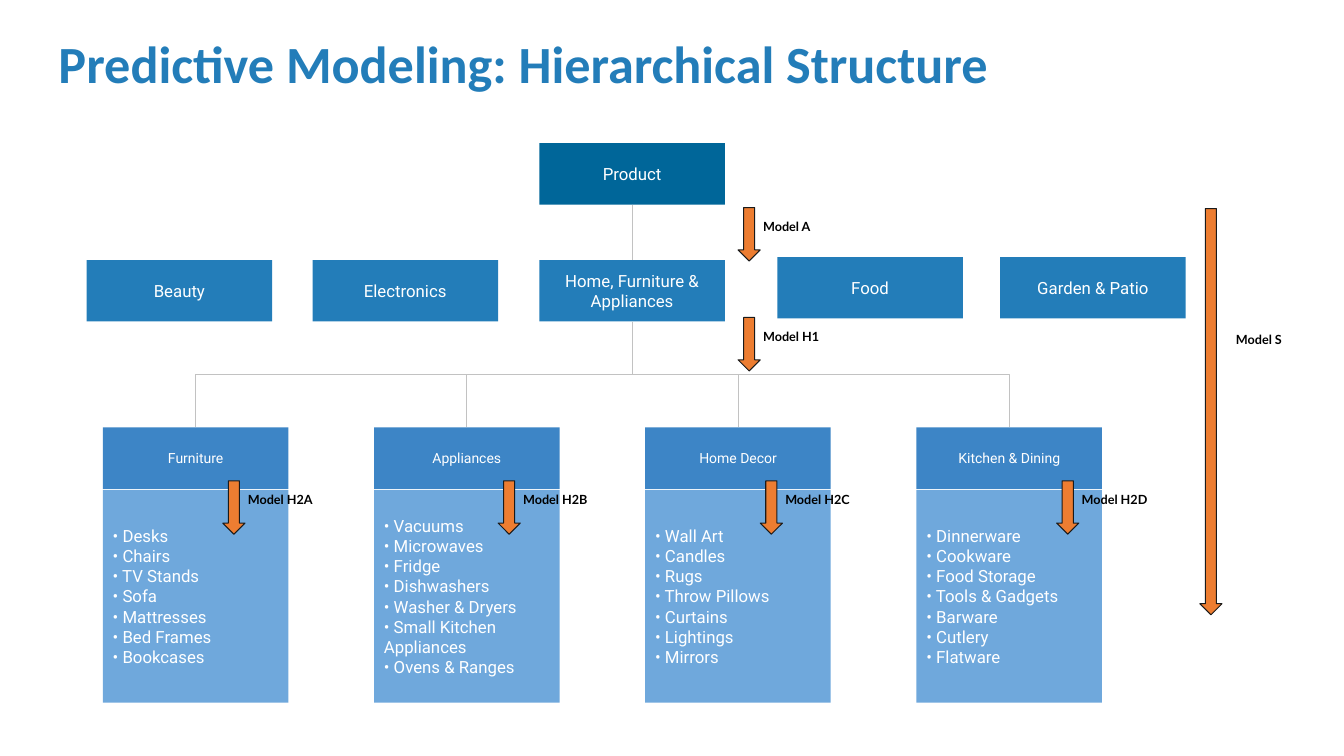
from lxml import etree
from pptx import Presentation
from pptx.dml.color import RGBColor
from pptx.enum.shapes import MSO_CONNECTOR, MSO_SHAPE
from pptx.enum.text import MSO_ANCHOR, MSO_AUTO_SIZE, PP_ALIGN
from pptx.oxml.ns import qn
from pptx.util import Inches, Pt

RECT, DOWN_ARROW = MSO_SHAPE.RECTANGLE, MSO_SHAPE.DOWN_ARROW
STRAIGHT, ELBOW = MSO_CONNECTOR.STRAIGHT, MSO_CONNECTOR.ELBOW
TOP, MIDDLE = MSO_ANCHOR.TOP, MSO_ANCHOR.MIDDLE
LEFT, CENTER = PP_ALIGN.LEFT, PP_ALIGN.CENTER
NO_AUTOFIT = MSO_AUTO_SIZE.NONE

NAVY = RGBColor(0x00, 0x66, 0x99)
BLUE = RGBColor(0x23, 0x7D, 0xB9)
MID_BLUE = RGBColor(0x3D, 0x85, 0xC6)
LIGHT_BLUE = RGBColor(0x6F, 0xA8, 0xDC)
ORANGE = RGBColor(0xED, 0x7D, 0x31)
GRAY = RGBColor(0xC2, 0xC2, 0xC2)
INK = RGBColor(0x1A, 0x1A, 0x1A)
BLACK = RGBColor(0x00, 0x00, 0x00)
WHITE = RGBColor(0xFF, 0xFF, 0xFF)

BOX_W, BOX_H = 1.84, 0.61


class HierarchySlide:
    def __init__(self, prs):
        self.slide = prs.slides.add_slide(prs.slide_layouts[5])
        self.shapes = self.slide.shapes

    def add_text(self, sp, lines, size, font, color, bold=False,
                 align=LEFT, anchor=TOP, inset_y=0.1):
        tf = sp.text_frame
        tf.word_wrap = True
        tf.auto_size = NO_AUTOFIT
        tf.vertical_anchor = anchor
        tf.margin_left = tf.margin_right = Inches(0.1)
        tf.margin_top = tf.margin_bottom = Inches(inset_y)
        for i, line in enumerate(lines):
            p = tf.paragraphs[0] if i == 0 else tf.add_paragraph()
            p.alignment = align
            r = p.add_run()
            r.text = line
            r.font.size = Pt(size)
            r.font.name = font
            r.font.bold = bold
            r.font.color.rgb = color

    def title(self, text):
        sp = self.shapes.title
        sp.left, sp.top = Inches(0.48), Inches(0.26)
        sp.width, sp.height = Inches(12.2), Inches(0.73)
        self.add_text(sp, [text], 37.3, "Calibri", BLUE, bold=True, inset_y=0.05)

    def box(self, x, y, lines, fill, size=12, height=BOX_H, align=CENTER):
        sp = self.shapes.add_shape(RECT, Inches(x), Inches(y),
                                   Inches(BOX_W), Inches(height))
        sp.shadow.inherit = False
        sp.fill.solid()
        sp.fill.fore_color.rgb = fill
        sp.line.fill.background()
        self.add_text(sp, lines, size, "Roboto", WHITE, align=align, anchor=MIDDLE)
        return sp

    def link(self, parent, child):
        """Join the bottom of a parent box to the top of a child box."""
        x1, y1 = parent.left + parent.width // 2, parent.top + parent.height
        x2, y2 = child.left + child.width // 2, child.top
        kind = STRAIGHT if x1 == x2 else ELBOW
        line = self.shapes.add_connector(kind, x1, y1, x2, y2)
        line.begin_connect(parent, 2)
        line.end_connect(child, 0)
        line.line.color.rgb = GRAY
        line.line.width = Pt(0.75)
        sp_pr = line._element.spPr
        etree.SubElement(sp_pr, qn("a:effectLst"))
        if kind == ELBOW:
            # Turn the elbow so that it leaves and arrives vertically
            run, drop = abs(x2 - x1), y2 - y1
            line.left = (x1 + x2 - drop) // 2
            line.top = (y1 + y2 - run) // 2
            line.width, line.height = drop, run
            xfrm = sp_pr.find(qn("a:xfrm"))
            xfrm.set("rot", str((90 if x2 < x1 else 270) * 60000))
            xfrm.set("flipH", "0" if x2 < x1 else "1")

    def model(self, x, y, name, height=0.53, label_dx=0.15, label_dy=0.01):
        sp = self.shapes.add_shape(DOWN_ARROW, Inches(x), Inches(y),
                                   Inches(0.22), Inches(height))
        sp.shadow.inherit = False
        sp.fill.solid()
        sp.fill.fore_color.rgb = ORANGE
        sp.line.color.rgb = INK
        sp.line.width = Pt(0.75)
        label = self.shapes.add_textbox(Inches(x + label_dx), Inches(y + label_dy),
                                        Inches(1.17), Inches(0.45))
        self.add_text(label, [name], 9, "Lato", BLACK, bold=True)


def main():
    prs = Presentation()
    prs.slide_width, prs.slide_height = Inches(13.33), Inches(7.5)
    s = HierarchySlide(prs)
    s.title("Predictive Modeling: Hierarchical Structure")

    # Product and its departments
    product = s.box(5.35, 1.42, ["Product"], NAVY)
    home = s.box(5.35, 2.58, ["Home, Furniture & Appliances"], BLUE)
    s.link(product, home)
    for x, y, name in [(0.86, 2.58, "Beauty"), (3.1, 2.58, "Electronics"),
                       (7.71, 2.55, "Food"), (9.92, 2.55, "Garden & Patio")]:
        s.box(x, y, [name], BLUE)

    # Categories with their product lists and models
    categories = [
        ("Furniture", 2.21, "Model H2A",
         ["Desks", "Chairs", "TV Stands", "Sofa", "Mattresses", "Bed Frames",
          "Bookcases"]),
        ("Appliances", 4.94, "Model H2B",
         ["Vacuums", "Microwaves", "Fridge", "Dishwashers", "Washer & Dryers",
          "Small Kitchen Appliances", "Ovens & Ranges"]),
        ("Home Decor", 7.54, "Model H2C",
         ["Wall Art", "Candles", "Rugs", "Throw Pillows", "Curtains",
          "Lightings", "Mirrors"]),
        ("Kitchen & Dining", 10.48, "Model H2D",
         ["Dinnerware", "Cookware", "Food Storage", "Tools & Gadgets",
          "Barware", "Cutlery", "Flatware"]),
    ]
    for i, (name, arrow_x, model, items) in enumerate(categories):
        x = 1.02 + 2.69 * i
        head = s.box(x, 4.24, [name], MID_BLUE, size=10)
        s.link(home, head)
        s.box(x, 4.86, [f"• {item}" for item in items], LIGHT_BLUE,
              height=2.11, align=LEFT)
        s.model(arrow_x, 4.77, model)

    # Models between the upper levels, and the one across all levels
    s.model(7.32, 2.06, "Model A")
    s.model(7.32, 3.15, "Model H1")
    s.model(11.9, 2.07, "Model S", height=4.03, label_dx=0.26, label_dy=1.12)

    prs.save("out.pptx")


if __name__ == "__main__":
    main()
